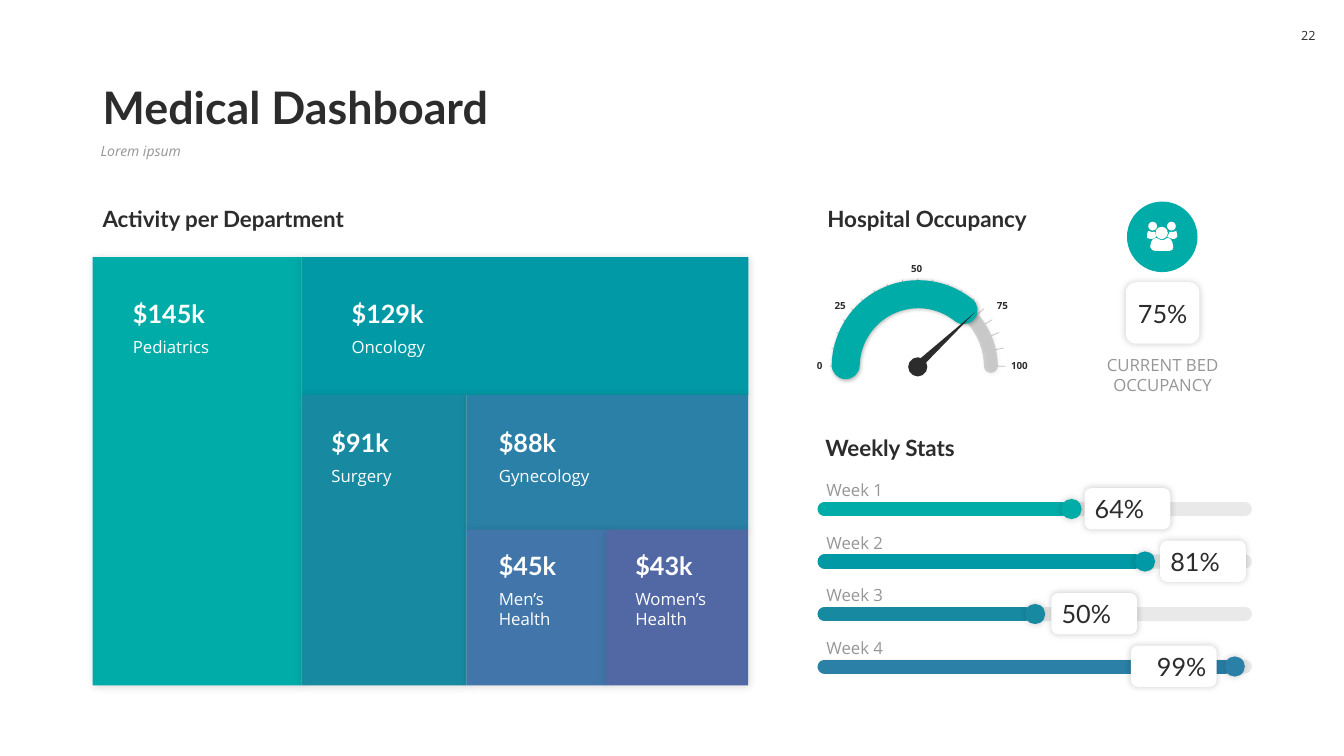
"""Build the Medical Dashboard slide."""
import math

import lxml.etree
import pptx
import pptx.dml.color
import pptx.enum.shapes
import pptx.enum.text
import pptx.oxml.ns
import pptx.util

Pt = pptx.util.Pt
qn = pptx.oxml.ns.qn
SHAPES = pptx.enum.shapes.MSO_SHAPE
ALIGN = pptx.enum.text.PP_ALIGN
ANCHOR = pptx.enum.text.MSO_ANCHOR

DARK, GREY, WHITE = "2C2C2C", "969696", "FFFFFF"
TEAL, CYAN, PETROL, BLUE = "00ACA8", "0099A5", "178AA1", "2A80A6"
SOFT_SHADOW = (20, 5, 0)
TILE_SHADOW = (15, 6, 1)
GAUGE_SHADOW = (30, 3, 1)

TILES = [
    ("$145k", "Pediatrics", TEAL, (66.24, 183.6, 149.04, 306), (87.84, 209.5), 134),
    ("$129k", "Oncology", CYAN, (215.28, 183.6, 319.2, 98.64), (244.1, 209.5), 134),
    ("$91k", "Surgery", PETROL, (215.28, 282.24, 118.08, 207.36), (229.7, 301.8), 92.9),
    ("$88k", "Gynecology", BLUE, (333.36, 282.24, 201.1, 96.2), (349.2, 301.8), 150.5),
    ("$45k", "Men’s Health", "4276AA", (333.36, 378.3, 99.6, 111.3), (349.2, 389.4), 75.6),
    ("$43k", "Women’s Health", "5268A5", (432.9, 378.3, 101.6, 111.3), (446.7, 389.4), 75.6),
]
WEEKS = [
    ("64%", TEAL, 758.2, 774.7, ALIGN.LEFT),
    ("81%", CYAN, 810.7, 828.7, ALIGN.LEFT),
    ("50%", PETROL, 732.2, 751, ALIGN.LEFT),
    ("99%", BLUE, 874.8, 807.8, ALIGN.RIGHT),
]
GAUGE_LABELS = [
    ("0", 557.5, 253.4, ALIGN.RIGHT),
    ("25", 574.1, 210.3, ALIGN.RIGHT),
    ("50", 628.8, 183.6, ALIGN.RIGHT),
    ("75", 712.1, 210.3, ALIGN.LEFT),
    ("100", 722.2, 253.4, ALIGN.LEFT),
]
TICK_ANGLES = [0, 12, 22.5, 32, 41, 50, 60, 69.5, 80]
PEOPLE_HEADS = [(820.2, 158.4, 6.3), (833.6, 158.4, 6.3), (825.4, 162, 8.8)]
PEOPLE_BODIES = [
    [(9, 15), (5, 17), (3, 17), (0, 16), (0, 12), (1, 9), (4, 10), (8, 10), (8, 11)],
    [(26, 25), (25, 28), (22, 29), (8, 29), (5, 28), (3, 25), (4, 20), (6, 17), (9, 16),
     (13, 18), (17, 18), (20, 16), (23, 17), (25, 20)],
    [(30, 14), (29, 16), (27, 17), (25, 17), (20, 15), (22, 11), (22, 10), (26, 10), (29, 9)],
]


def color(value):
    """Turn a hex string into a colour."""
    return pptx.dml.color.RGBColor.from_string(value)


def write(frame, text, size=12, font="Open Sans", fill=DARK, bold=False, italic=False,
          align=ALIGN.LEFT, anchor=ANCHOR.TOP, side=7.2, spacing=None):
    """Write one formatted paragraph into a text frame."""
    frame.auto_size = pptx.enum.text.MSO_AUTO_SIZE.NONE
    frame.word_wrap = True
    frame.vertical_anchor = anchor
    frame.margin_left = frame.margin_right = Pt(side)
    frame.margin_top = frame.margin_bottom = Pt(3.6)
    para = frame.paragraphs[0]
    para.alignment = align
    para.line_spacing = spacing
    span = para.add_run()
    span.text = text
    span.font.size, span.font.name = Pt(size), font
    span.font.bold, span.font.italic = bold, italic
    span.font.color.rgb = color(fill)


def add_text(shapes, left, top, width, height, text, **style):
    """Add a text box."""
    box = shapes.add_textbox(Pt(left), Pt(top), Pt(width), Pt(height))
    write(box.text_frame, text, **style)


def set_shadow(shape, shadow):
    """Give a shape an outer shadow of opacity, blur and distance, or none."""
    shape.shadow.inherit = False
    if shadow:
        opacity, blur, distance = shadow
        effects = shape._element.spPr.find(qn("a:effectLst"))
        outer = lxml.etree.SubElement(effects, qn("a:outerShdw"), blurRad=str(Pt(blur)),
                                      dist=str(Pt(distance)), dir="2700000", rotWithShape="0")
        tone = lxml.etree.SubElement(outer, qn("a:srgbClr"), val="000000")
        lxml.etree.SubElement(tone, qn("a:alpha"), val=str(opacity * 1000))


def set_line(shape, stroke, width, opacity=100, cap="rnd"):
    """Format the line of a shape or connector."""
    shape.line.color.rgb = color(stroke)
    shape.line.width = Pt(width)
    line = shape._element.spPr.find(qn("a:ln"))
    line.set("cap", cap)
    if opacity < 100:
        tone = line.find(".//" + qn("a:srgbClr"))
        lxml.etree.SubElement(tone, qn("a:alpha"), val=str(opacity * 1000))


def paint(shape, fill, shadow=None):
    """Fill a shape and remove its outline."""
    shape.fill.solid()
    shape.fill.fore_color.rgb = color(fill)
    shape.line.fill.background()
    set_shadow(shape, shadow)


def add_shape(shapes, kind, left, top, width, height, fill, shadow=None):
    """Add a filled preset shape."""
    shape = shapes.add_shape(kind, Pt(left), Pt(top), Pt(width), Pt(height))
    paint(shape, fill, shadow)
    return shape


def add_line(shapes, start, end, stroke, width, **style):
    """Add a straight line without a shadow."""
    line = shapes.add_connector(pptx.enum.shapes.MSO_CONNECTOR.STRAIGHT,
                                *(Pt(value) for value in start + end))
    set_line(line, stroke, width, **style)
    lxml.etree.SubElement(line._element.spPr, qn("a:effectLst"))


def add_arc(shapes, first, last, stroke, width, opacity=100):
    """Add a gauge arc between two angles in degrees."""
    arc = shapes.add_shape(SHAPES.ARC, Pt(604.1), Pt(210.2), Pt(103.7), Pt(103.7))
    arc.adjustments[0], arc.adjustments[1] = first * 0.6, last * 0.6
    arc.fill.background()
    set_line(arc, stroke, width, opacity)
    set_shadow(arc, GAUGE_SHADOW)


def add_heading(shapes, left, top, text):
    """Add a section heading."""
    add_text(shapes, left, top, 312.5, 26.6, text, size=16, font="Lato", bold=True,
             anchor=ANCHOR.BOTTOM)


def add_tile(shapes, amount, name, fill, frame, corner, width):
    """Add a department tile with its amount and name."""
    add_shape(shapes, SHAPES.RECTANGLE, *frame, fill, TILE_SHADOW)
    left, top = corner
    add_text(shapes, left, top, width, 28.8, amount, size=18, font="Lato", fill=WHITE,
             bold=True, anchor=ANCHOR.BOTTOM)
    add_text(shapes, left, top + 27.6, width, 36, name, fill=WHITE)


def add_gauge(shapes):
    """Add the occupancy gauge."""
    gauge = shapes.add_group_shape().shapes
    add_arc(gauge, 179.5, 359.3, DARK, 10, 20)
    add_shape(gauge, SHAPES.OVAL, 648.7, 255.2, 13.7, 13.7, DARK)
    for angle in TICK_ANGLES + [90] + [180 - angle for angle in TICK_ANGLES]:
        across, up = math.cos(math.radians(angle)), math.sin(math.radians(angle))
        outer, inner = ((655.5 - radius * across, 261.6 - radius * up) for radius in (62.8, 57))
        add_line(gauge, outer, inner, DARK, 0.5, opacity=30, cap="flat")
    for text, left, top, align in GAUGE_LABELS:
        add_text(gauge, left, top, 30, 15.8, text, size=7, bold=True, align=align,
                 anchor=ANCHOR.MIDDLE, side=0)
    add_arc(gauge, 181.3, 308.7, TEAL, 20)
    needle = add_shape(shapes, SHAPES.ISOSCELES_TRIANGLE, 671.8, 213.8, 5.8, 59, DARK)
    needle.rotation = 47


def add_people(shapes):
    """Add the round people icon."""
    add_shape(shapes, SHAPES.OVAL, 805, 144, 50.4, 50.4, TEAL)
    for left, top, size in PEOPLE_HEADS:
        add_shape(shapes, SHAPES.OVAL, left, top, size, size, WHITE)
    for outline in PEOPLE_BODIES:
        builder = shapes.build_freeform(*outline[0], scale=Pt(0.72))
        builder.add_line_segments(outline[1:], close=True)
        paint(builder.convert_to_shape(Pt(819.4), Pt(158.4)), WHITE)


def add_week(shapes, number, value, fill, knob, card_left, align):
    """Add one weekly slider."""
    middle = 363.6 + 37.5 * (number - 1)
    add_text(shapes, 583.2, middle - 24.5, 139.7, 21.6, f"Week {number}", fill=GREY,
             anchor=ANCHOR.BOTTOM)
    add_line(shapes, (589, middle), (889.2, middle), DARK, 10, opacity=10)
    add_line(shapes, (589, middle), (knob, middle), fill, 10)
    add_shape(shapes, SHAPES.OVAL, knob, middle - 7.2, 14.4, 14.4, fill, SOFT_SHADOW)
    card = add_shape(shapes, SHAPES.ROUNDED_RECTANGLE, card_left, middle - 15, 61.2, 29.5,
                     WHITE, SOFT_SHADOW)
    write(card.text_frame, value, size=18, font="Lato", align=align, anchor=ANCHOR.MIDDLE,
          side=5.8)


def main():
    """Build and save the deck."""
    deck = pptx.Presentation()
    deck.slide_width, deck.slide_height = Pt(960), Pt(540)
    page = deck.slides.add_slide(deck.slide_layouts[5])
    shapes = page.shapes
    title = shapes.title
    title.left, title.top, title.width, title.height = Pt(66.2), Pt(41.8), Pt(828), Pt(57.6)
    write(title.text_frame, "Medical Dashboard", size=32, font="Lato", bold=True,
          anchor=ANCHOR.BOTTOM, spacing=0.9)
    add_text(shapes, 64.8, 99.4, 829.4, 25.9, "Lorem ipsum", size=10, fill=GREY, italic=True,
             spacing=0.9)
    add_text(shapes, 921.6, 13, 25.9, 25.2, "22", size=9, align=ALIGN.CENTER,
             anchor=ANCHOR.MIDDLE, side=0)
    add_heading(shapes, 66.2, 142.6, "Activity per Department")
    for tile in TILES:
        add_tile(shapes, *tile)
    add_heading(shapes, 583.9, 142.6, "Hospital Occupancy")
    add_gauge(shapes)
    card = add_shape(shapes, SHAPES.ROUNDED_RECTANGLE, 804.2, 201.6, 52.6, 43.9, WHITE,
                     SOFT_SHADOW)
    write(card.text_frame, "75%", size=18, font="Lato", align=ALIGN.CENTER,
          anchor=ANCHOR.MIDDLE, side=0)
    add_text(shapes, 777.6, 249.8, 105.8, 36, "CURRENT BED OCCUPANCY", fill=GREY,
             align=ALIGN.CENTER, side=2.9)
    add_people(shapes)
    add_heading(shapes, 582.5, 306, "Weekly Stats")
    for number, week in enumerate(WEEKS, 1):
        add_week(shapes, number, *week)
    deck.save("out.pptx")


if __name__ == "__main__":
    main()
